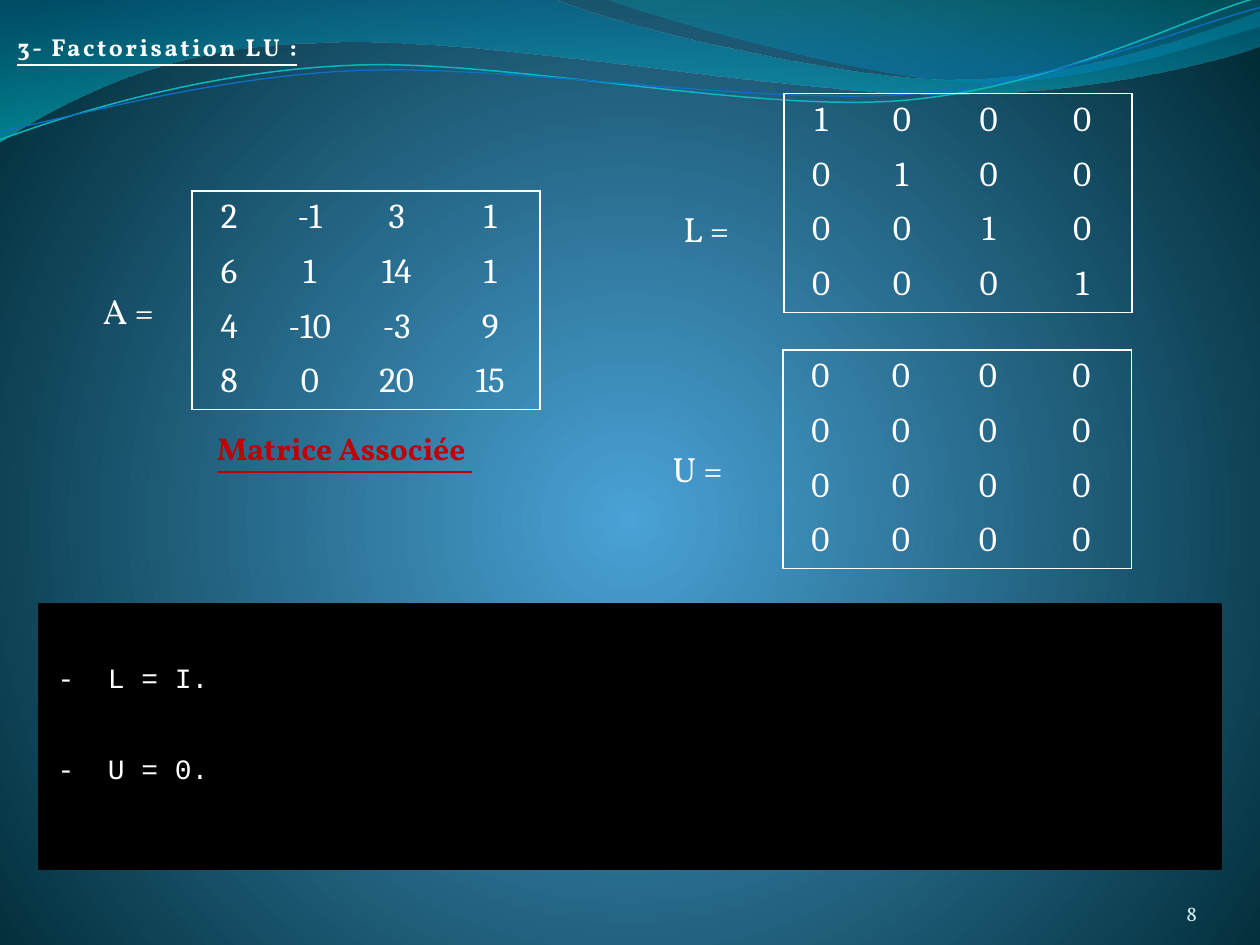
from lxml import etree
from pptx import Presentation
from pptx.dml.color import RGBColor
from pptx.enum import shapes, text
from pptx.oxml import ns
from pptx.util import Pt

WHITE = RGBColor(0xFF, 0xFF, 0xFF)
BLACK = RGBColor(0, 0, 0)
RED = RGBColor(0xC0, 0, 0)
PALE = RGBColor(0xD1, 0xEA, 0xED)
GLOW = RGBColor(0x4A, 0xA2, 0xD6)
NIGHT = RGBColor(0x00, 0x2B, 0x36)
OCEAN = RGBColor(0x00, 0x74, 0xA0)
LAGOON = RGBColor(0x00, 0xC4, 0xCD)
AZURE = RGBColor(0x00, 0x8A, 0xBF)
TEAL = RGBColor(0x00, 0xA0, 0xA8)
CYAN = RGBColor(0x09, 0xB7, 0xBF)
BLUE = RGBColor(0x0F, 0x6F, 0xC6)

deck = Presentation()
deck.slide_width, deck.slide_height = Pt(720), Pt(540)
slide = deck.slides.add_slide(deck.slide_layouts[6])


def write(frame, words, size, font, color, align=text.PP_ALIGN.LEFT):
    frame.word_wrap = True
    paragraph = frame.paragraphs[0]
    paragraph.alignment = align
    run = paragraph.add_run()
    run.text = words
    run.font.size = Pt(size)
    run.font.name = font
    run.font.color.rgb = color
    return run


def draw_curve(start, segments, closed):
    anchors = [(Pt(x), Pt(y)) for x, y in [start] + [segment[-2:] for segment in segments]]
    builder = slide.shapes.build_freeform(*anchors[0], scale=1.0)
    builder.add_line_segments(anchors[1:], close=closed)
    curve = builder.convert_to_shape()
    curve.shadow.inherit = False
    left, top = (min(values) for values in zip(*anchors))
    for line, segment in zip(list(curve.element.iter(ns.qn("a:lnTo"))), segments):
        if len(segment) == 6:
            bend = etree.Element(ns.qn("a:cubicBezTo"))
            for x, y in zip(segment[::2], segment[1::2]):
                etree.SubElement(bend, ns.qn("a:pt"), x=str(Pt(x) - left), y=str(Pt(y) - top))
            line.getparent().replace(line, bend)
    return curve


backdrop = slide.background.fill
backdrop.gradient()
for stop, color in zip(backdrop.gradient_stops, (GLOW, NIGHT)):
    stop.color.rgb = color
backdrop_xml = slide.element.find(".//" + ns.qn("a:gradFill"))
backdrop_xml.remove(backdrop_xml.find(ns.qn("a:lin")))
circle = etree.SubElement(backdrop_xml, ns.qn("a:path"), {"path": "circle"})
etree.SubElement(circle, ns.qn("a:fillToRect"), l="50000", t="55000", r="50000", b="45000")

bands = [
    ((0, 0), [(316.8, -0.7), (342.7, 12.2, 478.1, 45.4, 545.8, 45.4),
              (614.2, 45.4, 689.8, 18.7, 720, 6.5), (720.7, 25.9),
              (707.8, 31.7, 626.4, 54.7, 537.1, 54), (447.8, 54, 275, 20.2, 185, 24.5),
              (92.9, 25.2, 33.1, 59.8, -0.7, 81.4), (0, 0)],
     270, ((0, OCEAN, 45), (1, LAGOON, 55))),
    ((344.9, -0.7), [(366.5, 7.9, 491, 44.6, 553.7, 46.8),
                     (616.3, 49.7, 691.9, 23, 720, 15.1), (720, 0), (344.9, -0.7)],
     90, ((0.2, AZURE, 45), (1, TEAL, 30))),
]
for start, segments, angle, stops in bands:
    band = draw_curve(start, segments, True)
    band.line.fill.background()
    band.fill.gradient()
    band.fill.gradient_angle = angle
    for stop, (position, color, opacity) in zip(band.fill.gradient_stops, stops):
        stop.position = position
        stop.color.rgb = color
    for tint, (position, color, opacity) in zip(band.element.spPr.iter(ns.qn("a:srgbClr")), stops):
        etree.SubElement(tint, ns.qn("a:alpha"), val=str(opacity * 1000))

ripples = [
    ((0, 79.9), [(34.6, 67, 113.8, 41, 199.4, 37.4), (284.4, 33.1, 427, 64.1, 513.4, 57.6),
                 (599.8, 51.1, 675.4, 10.8, 718.6, -1.4)], CYAN, 0.85),
    ((0, 74.9), [(33.8, 69.1, 118.1, 43.9, 203.8, 40.3), (290.2, 36.7, 429.8, 59.8, 516.2, 54),
                 (601.9, 48.2, 677.5, 15.1, 720, 4.3)], BLUE, 0.75),
]
for start, segments, color, width in ripples:
    ripple = draw_curve(start, segments, False)
    ripple.fill.background()
    ripple.line.color.rgb = color
    ripple.line.width = Pt(width)

labels = [
    ("3- Factorisation LU :", 2.9, 14.8, 265, 23.8, 14, WHITE, True),
    ("Matrice Associée ", 116.8, 241.9, 164.2, 28.8, 18, RED, True),
    ("A =", 51.8, 162, 50.4, 31, 20, WHITE, False),
    ("L =", 383.4, 115.2, 50.4, 31, 20, WHITE, False),
    ("U =", 377.3, 252.3, 50.4, 31, 20, WHITE, False),
]
for words, left, top, width, height, size, color, heading in labels:
    label = slide.shapes.add_textbox(Pt(left), Pt(top), Pt(width), Pt(height))
    run = write(label.text_frame, words, size, "Vollkorn", color)
    label.text_frame.auto_size = text.MSO_AUTO_SIZE.SHAPE_TO_FIT_TEXT
    if heading:
        run.font.bold = run.font.underline = True
    if size == 14:
        run.font._element.set("spc", "147")

page_number = slide.shapes.add_textbox(Pt(624.2), Pt(500.4), Pt(59.8), Pt(28.8)).text_frame
page_number.margin_left = page_number.margin_right = 0
page_number.margin_top = page_number.margin_bottom = 0
page_number.vertical_anchor = text.MSO_ANCHOR.BOTTOM
write(page_number, "8", 12, "Vollkorn", PALE, text.PP_ALIGN.RIGHT)

console = [
    ("", 22.6, 345.6, 674.6, 150.5),
    ("-  L = I.", 25.9, 368.9, 501.1, 36),
    ("-  U = 0.", 25.9, 421.2, 424.8, 36),
]
for words, left, top, width, height in console:
    panel = slide.shapes.add_shape(shapes.MSO_SHAPE.RECTANGLE, Pt(left), Pt(top), Pt(width), Pt(height))
    panel.shadow.inherit = False
    panel.fill.solid()
    panel.fill.fore_color.rgb = BLACK
    if words:
        panel.line.fill.background()
        panel.text_frame.vertical_anchor = text.MSO_ANCHOR.MIDDLE
        write(panel.text_frame, words, 16, "Courier New", WHITE)
    else:
        panel.line.color.rgb = BLACK
        panel.line.width = Pt(2)

matrix_a = [[2, -1, 3, 1], [6, 1, 14, 1], [4, -10, -3, 9], [8, 0, 20, 15]]
matrix_l = [[int(i == j) for j in range(4)] for i in range(4)]
matrix_u = [[0] * 4 for i in range(4)]
column_widths = [42.5, 49.7, 49.7, 57.1]
for matrix, left, top in ((matrix_a, 109.7, 109.2), (matrix_l, 448, 53.5), (matrix_u, 447.5, 200)):
    frame = slide.shapes.add_table(4, 4, Pt(left), Pt(top), Pt(199), Pt(125))
    grid = frame.table
    grid.first_row = grid.horz_banding = False
    grid._tbl.tblPr.find(ns.qn("a:tableStyleId")).text = "{2D5ABB26-0587-4C30-8999-92F81FD0307C}"
    for column, width in zip(grid.columns, column_widths):
        column.width = Pt(width)
    for i, values in enumerate(matrix):
        grid.rows[i].height = Pt(31.25)
        for j, value in enumerate(values):
            cell = grid.cell(i, j)
            write(cell.text_frame, str(value), 20, "Cambria", WHITE, text.PP_ALIGN.CENTER)
            properties = cell._tc.get_or_add_tcPr()
            for side, outer in (("L", j == 0), ("R", j == 3), ("T", i == 0), ("B", i == 3)):
                if outer:
                    border = etree.SubElement(properties, ns.qn("a:ln" + side), w=str(Pt(0.96)))
                    ink = etree.SubElement(border, ns.qn("a:solidFill"))
                    etree.SubElement(ink, ns.qn("a:srgbClr"), val=str(WHITE))
            cell.fill.background()

deck.save("out.pptx")
